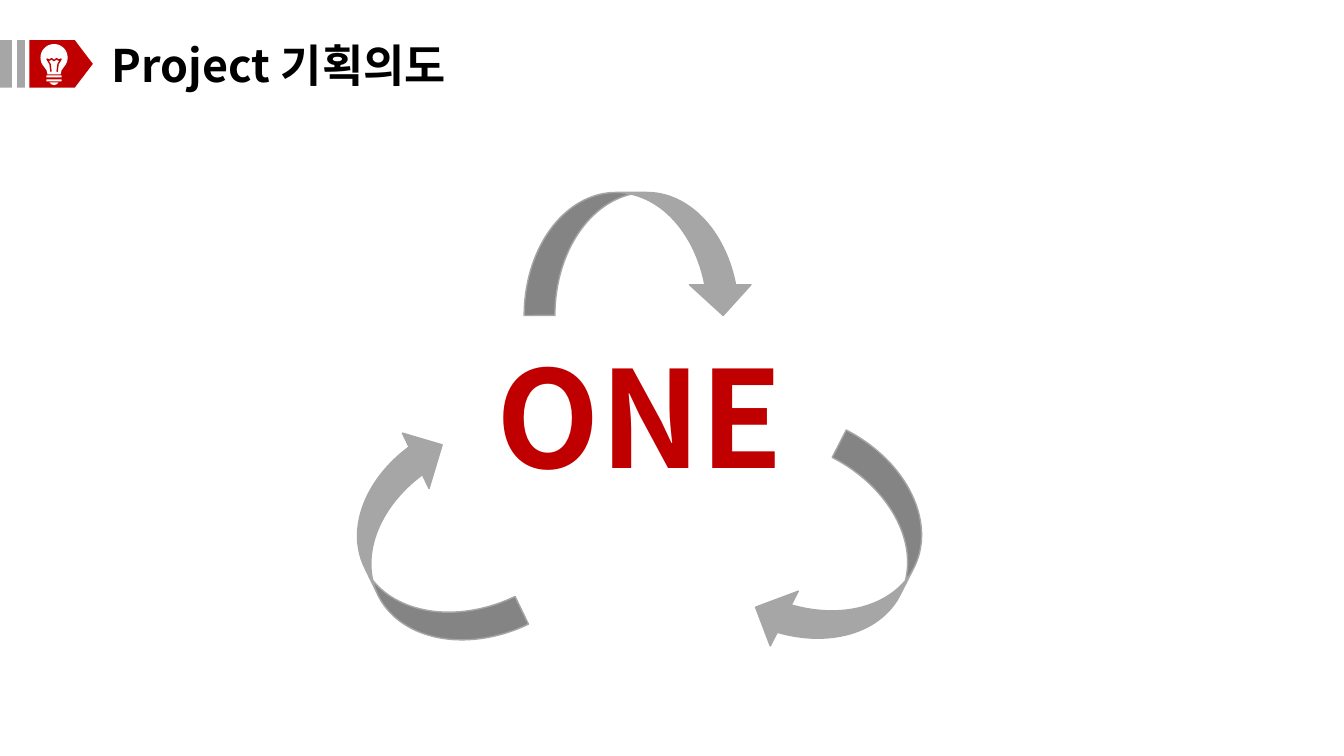
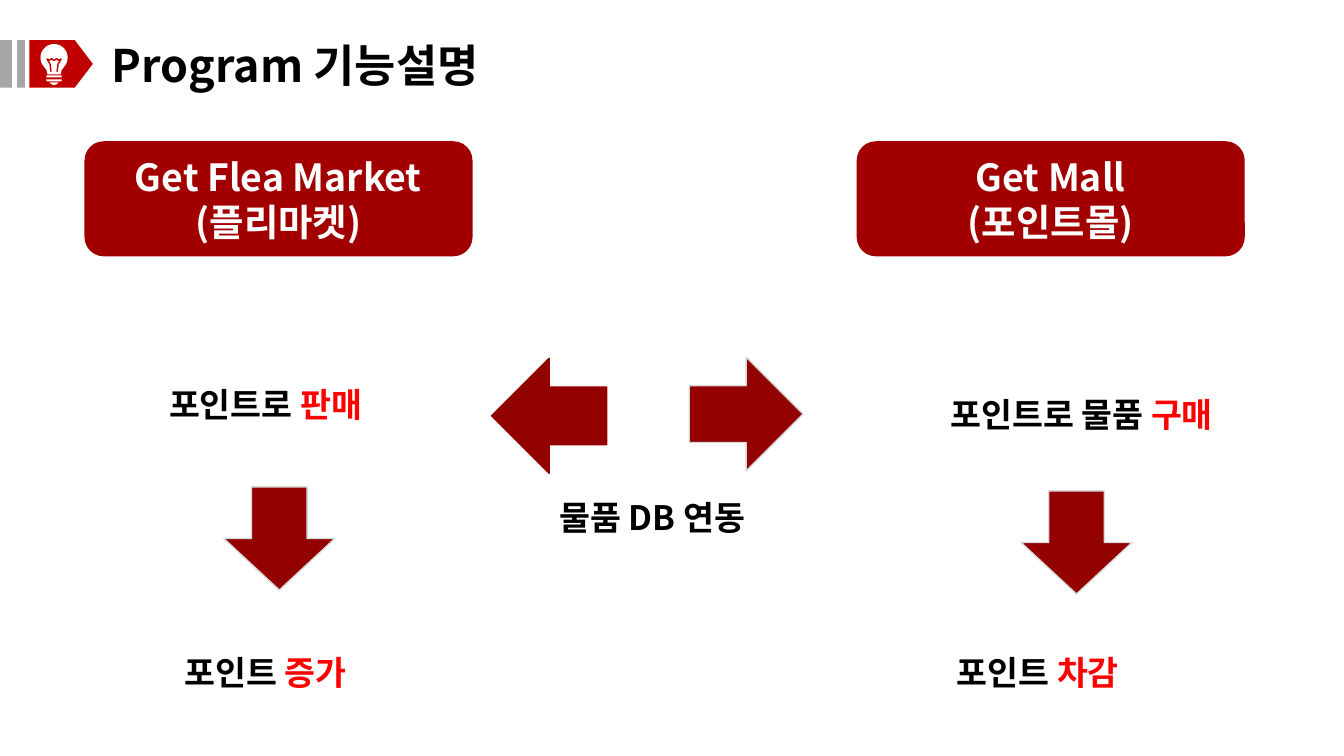
from math import cos, radians, sin

from lxml.etree import SubElement
from pptx import Presentation
from pptx.dml.color import RGBColor
from pptx.enum.shapes import MSO_SHAPE
from pptx.enum.text import MSO_ANCHOR, MSO_AUTO_SIZE, PP_ALIGN
from pptx.oxml.ns import qn
from pptx.util import Cm, Pt

COLORS = {
    "black": "000000",
    "white": "FFFFFF",
    "red": "C00000",
    "card": "A20000",
    "arrow": "920000",
    "accent": "FF0000",
    "gray": "A6A6A6",
    "edge": "D9D9D9",
}
FONT = "Noto Sans CJK KR"
TITLE_ONLY = 5
BULB_UNITS = 410
FRAME_FORMAT = {
    "word_wrap": True,
    "auto_size": MSO_AUTO_SIZE.NONE,
    "margin_left": Cm(0.25),
    "margin_right": Cm(0.25),
    "margin_top": Cm(0.13),
    "margin_bottom": Cm(0.13),
}


def color(name):
    return RGBColor.from_string(COLORS[name])


def set_attributes(target, values):
    for name, value in values.items():
        setattr(target, name, value)


def paint(shape, fill=None, line=None, width=1):
    shape.shadow.inherit = False
    if fill:
        shape.fill.solid()
        shape.fill.fore_color.rgb = color(fill)
    else:
        shape.fill.background()
    if line:
        shape.line.color.rgb = color(line)
        shape.line.width = Pt(width)
    else:
        shape.line.fill.background()
    return shape


def add_block(page, kind, box, fill, line=None):
    return paint(page.shapes.add_shape(kind, *map(Cm, box)), fill, line)


def write(shape, lines, size, align=PP_ALIGN.LEFT, anchor=MSO_ANCHOR.TOP):
    frame = shape.text_frame
    set_attributes(frame, {**FRAME_FORMAT, "vertical_anchor": anchor})
    for index, spans in enumerate(lines):
        para = frame.add_paragraph() if index else frame.paragraphs[0]
        para.alignment = align
        for text, tint in spans:
            span = para.add_run()
            span.text = text
            set_attributes(span.font, {"name": FONT, "size": Pt(size), "bold": True})
            span.font.color.rgb = color(tint)
            SubElement(span.font._element, qn("a:ea"), typeface=FONT)


def add_text(page, box, spans, size=24, align=PP_ALIGN.LEFT):
    write(page.shapes.add_textbox(*map(Cm, box)), [spans], size, align)


def add_outline(page, box, points, closed=True):
    left, top, _, height = box
    builder = page.shapes.build_freeform(*points[0], scale=Cm(height) / BULB_UNITS)
    builder.add_line_segments(points[1:], close=closed)
    return builder.convert_to_shape(Cm(left), Cm(top))


def add_bulb(page, box):
    left, top, _, height = box
    unit = height / BULB_UNITS
    glass = [
        (135 + 135 * cos(radians(angle)), 135 + 135 * sin(radians(angle)))
        for angle in range(150, 391, 10)
    ]
    neck = [(210, 260), (200, 300), (70, 300), (60, 260)]
    cap = [(90, 380), (180, 380), (160, 400), (135, 408), (110, 400)]
    filament = [
        (105, 275), (95, 200), (65, 150), (90, 160), (110, 145), (135, 165),
        (160, 145), (180, 160), (205, 150), (175, 200), (165, 275),
    ]
    for points in (glass + neck, cap):
        paint(add_outline(page, box, points), "white")
    paint(add_outline(page, box, filament, closed=False), line="red")
    for bar_top in (312, 350):
        bar = (left + 60 * unit, top + bar_top * unit, 150 * unit, 20 * unit)
        add_block(page, MSO_SHAPE.ROUNDED_RECTANGLE, bar, "white")


def add_header(page, title, box):
    left, top, width, height = box
    for offset, bar_width in ((0, 0.3), (0.43, 0.2)):
        bar = (left + offset, top, bar_width, height)
        add_block(page, MSO_SHAPE.RECTANGLE, bar, "gray")
    tag_box = (left + 0.74, top, 1.6, height)
    tag = add_block(page, MSO_SHAPE.PENTAGON, tag_box, "red")
    tag.adjustments[0] = 0.38
    add_bulb(page, (left + 1.02, top + 0.1, 0.69, 1.04))
    heading = page.shapes.title
    places = (left + 2.57, top - 0.2, width - 2.57, 1.63)
    set_attributes(heading, dict(zip(("left", "top", "width", "height"), map(Cm, places))))
    write(heading, [[(title, "black")]], 32)


def add_page(deck, title):
    page = deck.slides.add_slide(deck.slide_layouts[TITLE_ONLY])
    add_header(page, title, (0, 1.01, 18, 1.2))
    return page


def add_cycle(page, box):
    left, top, _, _ = box
    add_text(page, (left + 4.5, top + 3.45, 11.13, 4.37), [("ONE", "red")], 96)
    for dx, dy, turn in ((5.44, 0, 0), (0, 7.39, 244.3), (10.72, 7.72, 117.1)):
        arrow_box = (left + dx, top + dy, 5.79, 3.1)
        arrow = add_block(page, MSO_SHAPE.CURVED_DOWN_ARROW, arrow_box, "gray", "gray")
        arrow.rotation = turn


def add_flow(page, box, names, action, action_at, arrow_at, result):
    left, top, width, _ = box
    card = add_block(page, MSO_SHAPE.ROUNDED_RECTANGLE, (left, top, width, 2.9), "card")
    lines = [[(name, "white")] for name in names]
    write(card, lines, 26.7, PP_ALIGN.CENTER, MSO_ANCHOR.MIDDLE)
    result_at = (2.27, 12.75)
    for (dx, dy), (lead, stress) in ((action_at, action), (result_at, result)):
        spans = [(lead + " ", "black"), (stress, "accent")]
        add_text(page, (left + dx, top + dy, 8.81, 1.27), spans)
    arrow_box = (left + arrow_at[0], top + arrow_at[1], 2.8, 2.6)
    add_block(page, MSO_SHAPE.DOWN_ARROW, arrow_box, "arrow", "edge")


def add_link(page, box):
    left, top, width, _ = box
    add_block(page, MSO_SHAPE.LEFT_ARROW, (left + 2.1, top + 0.03, 2.9, 2.9), "arrow", "arrow")
    add_block(page, MSO_SHAPE.RIGHT_ARROW, (left + 7.08, top, 2.87, 2.87), "arrow", "edge")
    caption_box = (left, top + 3.4, width, 1.27)
    add_text(page, caption_box, [("물품 DB 연동", "black")], align=PP_ALIGN.CENTER)


def main():
    deck = Presentation()
    set_attributes(deck, {"slide_width": Cm(33.87), "slide_height": Cm(19.05)})
    add_cycle(add_page(deck, "Project 기획의도"), (7.77, 4.85, 16.5, 11.6))
    page = add_page(deck, "Program 기능설명")
    add_flow(
        page, (2.13, 3.56, 9.78, 14.1), ("Get Flea Market", "(플리마켓)"),
        ("포인트로", "판매"), (1.88, 5.99), (3.51, 8.71), ("포인트", "증가"),
    )
    add_flow(
        page, (21.59, 3.56, 9.78, 14.1), ("Get Mall", "(포인트몰)"),
        ("포인트로 물품", "구매"), (2.11, 6.24), (4.14, 8.81), ("포인트", "차감"),
    )
    add_link(page, (10.29, 9, 12.29, 4.7))
    deck.save("out.pptx")


if __name__ == "__main__":
    main()
